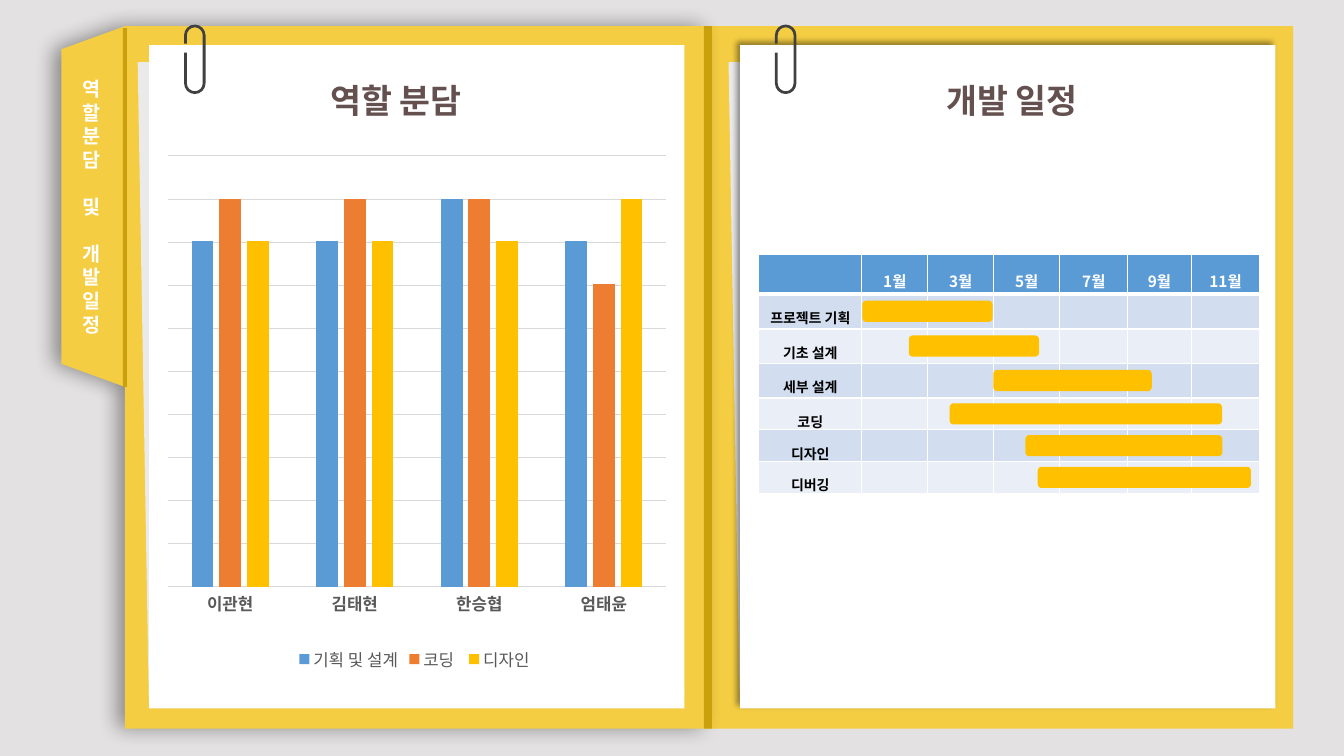
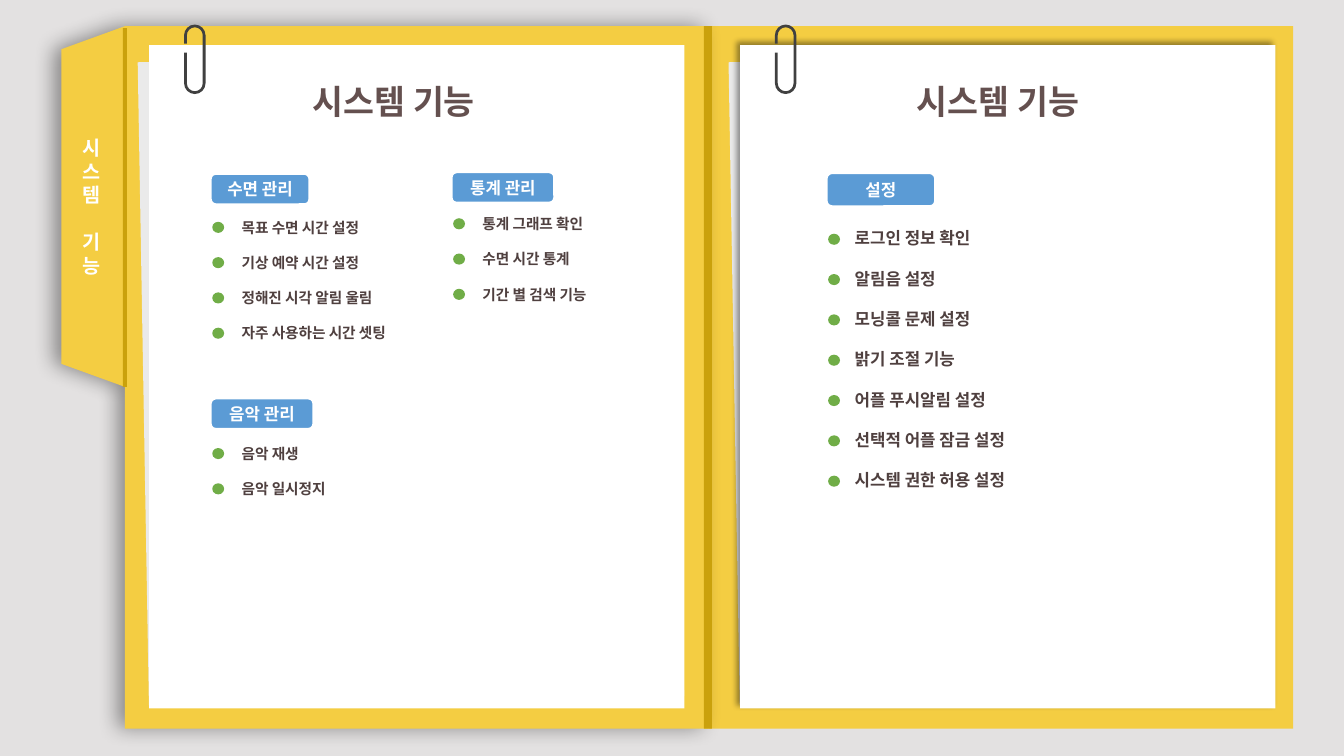
from dataclasses import dataclass
from itertools import accumulate

from lxml import etree
from pptx import Presentation
from pptx import util as u
from pptx.chart.data import CategoryChartData
from pptx.dml.color import RGBColor
from pptx.enum import chart as charts, shapes, text
from pptx.oxml import ns

SHAPE = shapes.MSO_SHAPE
MID = text.MSO_ANCHOR.MIDDLE
CENTER = text.PP_ALIGN.CENTER
LEADING = 1.2
PT_CM = 2.54 / 72
ROUND = 0.55


@dataclass(frozen=True)
class Theme:
    font: str = "Noto Sans CJK KR"
    plain: str = "Arial"
    back: str = "E3E1E1"
    folder: str = "F4CD42"
    spine: str = "CAA10C"
    under: str = "EAEAEA"
    white: str = "FFFFFF"
    black: str = "000000"
    clip: str = "404040"
    title: str = "64504F"
    body: str = "4F403F"
    blue: str = "5B9BD5"
    orange: str = "ED7D31"
    amber: str = "FFC000"
    green: str = "70AD47"
    grid: str = "D9D9D9"
    label: str = "595959"
    bands: tuple = ("D2DEEF", "EAEFF7")
    head: float = 24
    tab: float = 14
    pill: float = 12
    item: float = 10.5
    month: float = 11
    task: float = 10


T = Theme()


def rgb(code):
    return RGBColor.from_string(code)


def node(parent, tag, **attrs):
    return etree.SubElement(parent, ns.qn(tag), {k: str(v) for k, v in attrs.items()})


def put(frame, lines, size=T.item, color=T.body, font=T.font, align=None,
        gaps=None, lead=None):
    """Write one bold paragraph per line; gaps are the points before each."""
    for i, line in enumerate(lines):
        par = frame.paragraphs[0] if i == 0 else frame.add_paragraph()
        par.alignment = align
        if lead:
            par.line_spacing = lead
        if gaps and gaps[i]:
            par.space_before = u.Pt(gaps[i])
        if not line:
            node(par._p, "a:endParaRPr", sz=int(size * 100))
            continue
        run = par.add_run()
        run.text = line
        run.font.size, run.font.bold, run.font.name = u.Pt(size), True, font
        run.font.color.rgb = rgb(color)
        node(run._r.get_or_add_rPr(), "a:ea", typeface=T.font)


def cap(x, y, rx, ry):
    """Half circle from (x - rx, y) by (x, y + ry) to (x + rx, y), as two curves."""
    bx, by = rx * ROUND, ry * ROUND
    return [[(x - rx, y + by), (x - bx, y + ry), (x, y + ry)],
            [(x + bx, y + ry), (x + rx, y + by), (x + rx, y)]]


def bend(shape, steps):
    """Turn each run of three line steps that stands for a curve into one."""
    lines = list(shape._element.iter(ns.qn("a:lnTo")))
    for step in steps:
        count = len(step) if isinstance(step, list) else 1
        part, lines = lines[:count], lines[count:]
        if count == 3:
            curve = etree.Element(ns.qn("a:cubicBezTo"))
            part[0].addprevious(curve)
            for line in part:
                curve.append(line[0])
                line.getparent().remove(line)


def edge(cell, side, width):
    line = node(cell._tc.get_or_add_tcPr(), "a:ln" + side, w=u.Pt(width))
    node(node(line, "a:solidFill"), "a:srgbClr", val=T.white)


class Deck:
    def __init__(self):
        self.prs = Presentation()
        self.prs.slide_width, self.prs.slide_height = u.Cm(33.87), u.Cm(19.05)
        self.slide = None

    def style(self, shape, fill, line=None, width=1, shade=None):
        """Set fill, line and shadow; shade is blur, distance and angle."""
        shape.shadow.inherit = False
        shape.fill.solid()
        shape.fill.fore_color.rgb = rgb(fill)
        if line:
            shape.line.color.rgb = rgb(line)
            shape.line.width = u.Pt(width)
        else:
            shape.line.fill.background()
        if shade:
            blur, dist, angle = shade
            effects = shape._element.spPr.find(ns.qn("a:effectLst"))
            cast = node(effects, "a:outerShdw", blurRad=u.Pt(blur), dist=u.Pt(dist),
                        dir=angle * 60000, algn="ctr", rotWithShape=0)
            node(node(cast, "a:srgbClr", val=T.black), "a:alpha", val=40000)
        return shape

    def box(self, x, y, w, h, fill, kind=SHAPE.RECTANGLE, **look):
        shape = self.slide.shapes.add_shape(kind, *map(u.Cm, (x, y, w, h)))
        return self.style(shape, fill, **look)

    def free(self, start, steps, fill, **look):
        """Draw an outline; a step is a point, or a list of three for a curve."""
        spots = [p for s in steps for p in (s if isinstance(s, list) else [s])]
        path = self.slide.shapes.build_freeform(*map(u.Cm, start))
        path.add_line_segments([(u.Cm(x), u.Cm(y)) for x, y in spots], close=True)
        shape = path.convert_to_shape()
        bend(shape, steps)
        return self.style(shape, fill, **look)

    def text(self, x, y, w, h, lines, wrap=True, anchor=None, **form):
        area = self.slide.shapes.add_textbox(*map(u.Cm, (x, y, w, h)))
        area.text_frame.word_wrap = wrap
        area.text_frame.vertical_anchor = anchor
        put(area.text_frame, lines, **form)

    def title(self, x, y, words):
        self.text(x, y, 5, 1.27, [words], size=T.head, color=T.title)

    def clip(self, x, y):
        outer, inner, low = 0.27, 0.2, y + 1.75
        mid, top, foot = x + outer, y + outer, low - outer
        left, right = mid - inner, mid + inner
        self.free((x, y + 0.71),
                  [(left, y + 0.71), (left, foot), *cap(mid, foot, inner, inner),
                   (right, top), *cap(mid, top, -inner, -inner),
                   (left, y + 0.48), (x, y + 0.48), (x, top),
                   *cap(mid, top, outer, -outer), (mid + outer, foot),
                   *cap(mid, foot, -outer, outer)], T.clip)

    def sheet(self, x, shade=None):
        under = self.box(x - 0.15, 1.45, 13.49, 16.21, T.under)
        under.rotation = 359
        self.box(x, 1.14, 13.49, 16.71, T.white, shade=shade)
        self.clip(x + 0.88, 0.62)

    def page(self, words):
        """Start a slide with the open folder and its tab label."""
        self.slide = self.prs.slides.add_slide(self.prs.slide_layouts[6])
        self.slide.background.fill.solid()
        self.slide.background.fill.fore_color.rgb = rgb(T.back)
        self.box(17.86, 0.66, 14.73, 17.7, T.folder)
        self.free((3.15, 0.66), [(17.86, 0.66), (17.86, 18.36), (3.15, 18.36),
                                 (3.15, 9.75), (1.55, 9.17), (1.55, 1.24)],
                  T.folder, shade=(15, 5, 180))
        self.box(17.74, 0.66, 0.2, 17.7, T.spine)
        self.box(3.1, 0.71, 0.1, 9.04, T.spine)
        self.sheet(18.65, shade=(4, 3, 225))
        self.sheet(3.76)
        gaps = [T.tab * LEADING if n and not i else 0
                for n, word in enumerate(words.split()) for i in range(len(word))]
        self.text(1.8, 1.79, 1.02, 6.83, words.replace(" ", ""), wrap=False, anchor=MID,
                  size=T.tab, color=T.white, align=CENTER, gaps=gaps)

    def chart(self, x, y, w, h, names, series, plot):
        data = CategoryChartData()
        data.categories = names
        for name, _, values in series:
            data.add_series(name, values)
        chart = self.slide.shapes.add_chart(
            charts.XL_CHART_TYPE.COLUMN_CLUSTERED, *map(u.Cm, (x, y, w, h)), data).chart
        chart.has_title = False
        chart.font.name, chart.font.size = T.font, u.Pt(T.task)
        bars = chart.plots[0]
        bars.gap_width, bars.overlap, bars.vary_by_categories = 219, -27, False
        for part, (_, color, _) in zip(bars.series, series):
            part.format.fill.solid()
            part.format.fill.fore_color.rgb = rgb(color)
        axis, scale = chart.category_axis, chart.value_axis
        axis.major_tick_mark = charts.XL_TICK_MARK.NONE
        axis.tick_labels.font.bold = True
        scale.minimum_scale, scale.maximum_scale, scale.major_unit = 0, 111, 11.1
        scale.visible = False
        for rule in (axis.format.line, scale.major_gridlines.format.line):
            rule.color.rgb, rule.width = rgb(T.grid), u.Pt(0.75)
        chart.has_legend = True
        chart.legend.position = charts.XL_LEGEND_POSITION.BOTTOM
        chart.legend.include_in_layout = False
        for font in (axis.tick_labels.font, chart.legend.font):
            font.name, font.size, font.color.rgb = T.font, u.Pt(T.pill), rgb(T.label)
        area = chart._chartSpace.chart.plotArea
        for old in area.findall(ns.qn("c:layout")):
            area.remove(old)
        layout = etree.Element(ns.qn("c:layout"))
        area.insert(0, layout)
        manual = node(layout, "c:manualLayout")
        node(manual, "c:layoutTarget", val="inner")
        for key in "xy":
            node(manual, f"c:{key}Mode", val="edge")
        for key, val in zip("xywh", plot):
            node(manual, "c:" + key, val=val)

    def table(self, x, y, cols, rows, cells):
        grid = self.slide.shapes.add_table(
            len(rows), len(cols), *map(u.Cm, (x, y, sum(cols), sum(rows)))).table
        grid.horz_banding = False
        for col, width in zip(grid.columns, cols):
            col.width = u.Cm(width)
        for r, (row, height) in enumerate(zip(grid.rows, rows)):
            row.height = u.Cm(height)
            for c, cell in enumerate(row.cells):
                cell.margin_left = cell.margin_right = u.Cm(0.15)
                cell.margin_top = cell.margin_bottom = u.Cm(0.08)
                for side in "LRTB":
                    thick = (r, side) in ((0, "B"), (1, "T"))
                    edge(cell, side, 3 if thick else 1)
                cell.fill.solid()
                cell.fill.fore_color.rgb = rgb(T.bands[(r - 1) % 2] if r else T.blue)
                form = (dict(size=T.task, color=T.black, font=T.plain) if r
                        else dict(size=T.month, color=T.white))
                put(cell.text_frame, [cells[r][c]], align=CENTER, lead=1.5, **form)

    def plan(self, x, y, cols, rows, months, tasks):
        """Draw the schedule table with one bar centred in each task row."""
        blank, thick = [""] * len(months), 0.5
        self.table(x, y, cols, rows,
                   [["", *months]] + [[name, *blank] for name, _, _ in tasks])
        for top, high, (_, left, width) in zip(accumulate(rows), rows[1:], tasks):
            self.box(left, y + top + (high - thick) / 2, width, thick, T.amber,
                     SHAPE.ROUNDED_RECTANGLE, line=T.amber)

    def group(self, pill, name, x, y, items, size=T.item):
        """Draw a labelled pill and the dotted list below it."""
        badge = self.box(*pill, T.blue, SHAPE.ROUNDED_RECTANGLE, line=T.white, width=1.5)
        badge.text_frame.vertical_anchor = MID
        put(badge.text_frame, [name], size=T.pill, color=T.white, align=CENTER)
        gap = size * LEADING
        step = 2 * gap * PT_CM
        self.text(x, y, 8.1, step * len(items), items, size=size,
                  gaps=[0] + [gap] * (len(items) - 1))
        for i in range(len(items)):
            self.box(pill[0] + 0.04, y + 0.21 + (size - T.item) * 0.04 + i * step,
                     0.3, 0.28, T.green, SHAPE.OVAL)


def main():
    deck = Deck()
    deck.page("역할분담 및 개발일정")
    deck.title(8.08, 1.88, "역할 분담")
    deck.chart(3.78, 3.54, 13.33, 13.49, ["이관현", "김태현", "한승협", "엄태윤"],
               [("기획 및 설계", T.blue, (89, 89, 100, 89)),
                ("코딩 ", T.orange, (100, 100, 100, 78)),
                ("디자인", T.amber, (89, 89, 89, 100))],
               plot=(0.034, 0.029, 0.942, 0.805))
    deck.title(23.6, 1.88, "개발 일정")
    deck.plan(19.12, 6.42, [2.6, 1.66, 1.66, 1.67, 1.71, 1.6, 1.73],
              [0.98, 0.89, 0.86, 0.88, 0.8, 0.8, 0.8],
              [f"{m}월" for m in range(1, 12, 2)],
              [("프로젝트 기획", 21.75, 3.25), ("기초 설계", 22.92, 3.25),
               ("세부 설계", 25.05, 3.96), ("코딩", 23.95, 6.83),
               ("디자인", 25.86, 4.93), ("디버깅", 26.17, 5.34)])

    deck.page("시스템 기능")
    for left in (7.63, 22.86):
        deck.title(left, 1.91, "시스템 기능")
    deck.group((5.31, 4.38, 2.49, 0.77), "수면 관리", 5.84, 5.38,
               ["목표 수면 시간 설정", "기상 예약 시간 설정",
                "정해진 시각 알림 울림", "자주 사용하는 시간 셋팅"])
    deck.group((5.31, 10.04, 2.59, 0.77), "음악 관리", 5.84, 11.08,
               ["음악 재생", "음악 일시정지"])
    deck.group((11.38, 4.34, 2.59, 0.77), "통계 관리", 11.91, 5.29,
               ["통계 그래프 확인", "수면 시간 통계", "기간 별 검색 기능"])
    deck.group((20.83, 4.36, 2.74, 0.84), "설정", 21.29, 5.62,
               ["로그인 정보 확인", "알림음 설정", "모닝콜 문제 설정", "밝기 조절 기능",
                "어플 푸시알림 설정", "선택적 어플 잠금 설정", "시스템 권한 허용 설정"],
               size=T.pill)
    deck.prs.save("out.pptx")


if __name__ == "__main__":
    main()
